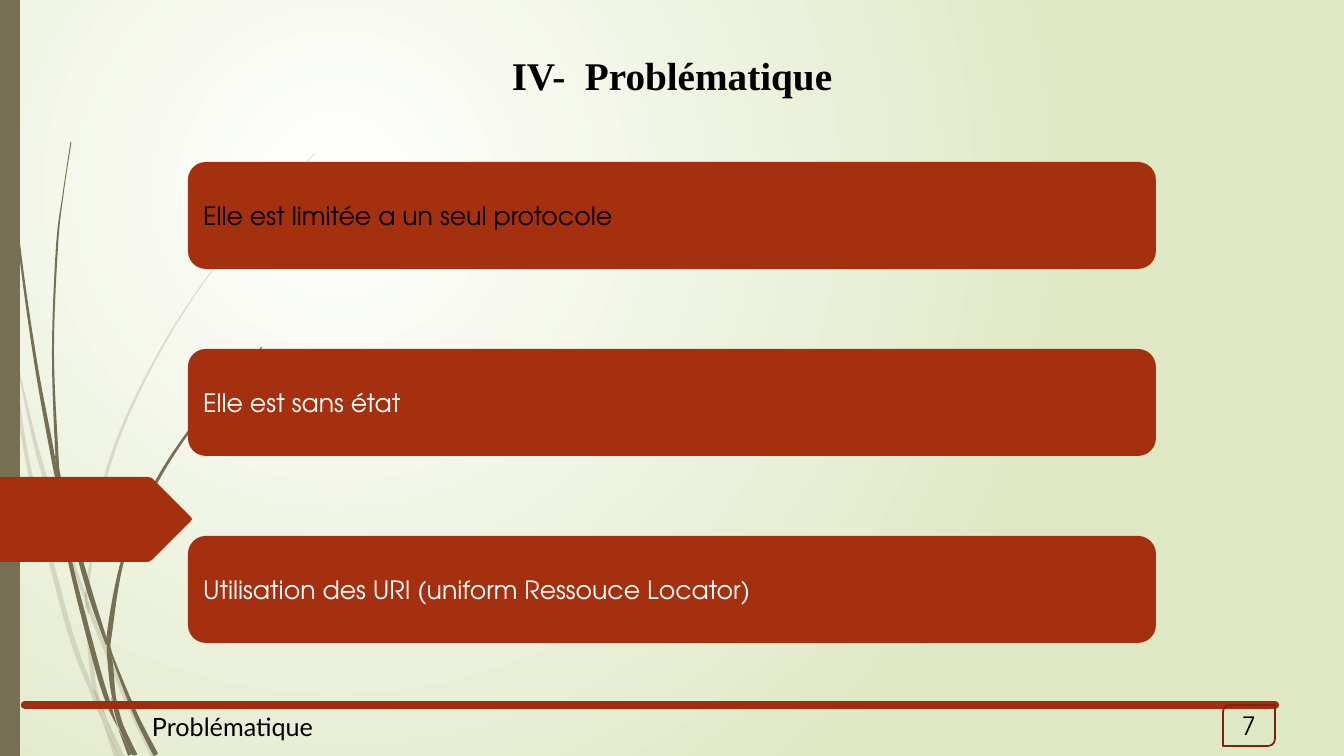
from dataclasses import dataclass
from math import hypot

from pptx import Presentation
from pptx.dml.color import RGBColor
from pptx.enum.shapes import MSO_CONNECTOR, MSO_SHAPE
from pptx.enum.text import MSO_ANCHOR, PP_ALIGN
from pptx.oxml import parse_xml
from pptx.oxml.ns import nsdecls
from pptx.util import Pt

RECTANGLE = MSO_SHAPE.RECTANGLE
ROUNDED = MSO_SHAPE.ROUNDED_RECTANGLE
DIAGONAL = MSO_SHAPE.ROUND_2_DIAG_RECTANGLE
STRAIGHT = MSO_CONNECTOR.STRAIGHT
MIDDLE = MSO_ANCHOR.MIDDLE
CENTER, JUSTIFY = PP_ALIGN.CENTER, PP_ALIGN.JUSTIFY
PX = 914400 / 100.8
TITLE_ONLY = 5


@dataclass(frozen=True)
class Theme:
    """Colours, fonts and type sizes of the slide."""
    white: str = "FFFFFF"
    black: str = "000000"
    pale_green: str = "DFE8C4"
    olive: str = "766F54"
    rust: str = "A53010"
    rule: str = "9E2E0F"
    badge: str = "7A240C"
    title_font: str = "Times New Roman"
    body_font: str = "TeX Gyre Adventor"
    footer_font: str = "Lato"
    title_size: int = 28
    body_size: int = 18


THEME = Theme()

FAINT_GRASS = [
    [(0, 293, 4), (5, 318, 3), (11, 353, 0)],
    [(14, 348, 0), (36, 446, 4), (60, 525, 4), (85, 597, 3)],
    [(88, 602, 2), (91, 613, 4), (126, 699, 4), (154, 757, 5)],
    [(106, 717, 0), (122, 757, 5)],
    [(11, 353, 0), (15, 379, 3), (30, 473, 4), (68, 625, 5), (93, 694, 4), (102, 720, 0)],
    [(85, 604, 0), (90, 651, 4), (95, 689, 4), (106, 717, 0)],
    [(314, 154, 1), (230, 247, 1), (160, 351, 2), (109, 465, 3), (87, 589, 3), (88, 600, 0)],
    [(102, 720, 0), (117, 757, 5)],
    [(86, 591, 0), (87, 603, 4), (89, 615, 0)],
    [(94, 688, 0), (104, 718, 5), (119, 757, 0)],
]
DARK_GRASS = [
    [(4, 0, 1), (8, 110, 1), (18, 234, 2), (35, 358, 3), (53, 457, 4), (57, 485, 0)],
    [(60, 476, 0), (76, 543, 4), (91, 596, 5), (107, 644, 3)],
    [(111, 646, 0), (113, 658, 2), (135, 713, 4), (156, 755, 5)],
    [(57, 481, 0), (63, 509, 3), (70, 561, 4), (96, 663, 5), (109, 705, 4), (118, 728, 0)],
    [(71, 142, 1), (63, 195, 1), (57, 247, 2), (53, 352, 2), (57, 455, 3), (60, 476, 0)],
    [(123, 725, 0), (136, 755, 3)],
    [(55, 453, 0), (59, 478, 4), (65, 509, 0)],
    [(262, 347, 1), (206, 409, 2), (158, 479, 3), (124, 556, 3), (109, 637, 5), (111, 646, 0)],
    [(118, 728, 0), (130, 755, 4)],
    [(107, 650, 0), (110, 661, 5), (114, 697, 4), (123, 725, 0)],
    [(107, 636, 0), (109, 650, 4), (112, 661, 0)],
    [(111, 697, 0), (121, 726, 5), (134, 755, 3)],
]
TAG = [(0, 477), (148, 477), (152, 478), (191, 517), (192, 519), (191, 521),
       (152, 560), (148, 562), (0, 562)]
BARS = [
    ("Elle est limitée a un seul protocole", THEME.black),
    ("Elle est sans état", THEME.white),
    ("Utilisation des URI (uniform Ressouce Locator)", THEME.white),
]


def emu(*lengths):
    """Turn pixel lengths into a list of EMU."""
    return [round(length * PX) for length in lengths]


def rgb(color):
    """Turn a hex string into a colour."""
    return RGBColor.from_string(color)


def write(shape, text, font=THEME.body_font, size=THEME.body_size, color=THEME.black,
          bold=False, align=CENTER):
    """Put one formatted paragraph into a shape."""
    frame = shape.text_frame
    frame.word_wrap = True
    frame.vertical_anchor = MIDDLE
    paragraph = frame.paragraphs[0]
    paragraph.alignment = align
    run = paragraph.add_run()
    run.text = text
    run.font.name, run.font.size, run.font.bold = font, Pt(size), bold
    run.font.color.rgb = rgb(color)


def paint(shape, fill=None, line=None, width=1.25):
    """Set fill and outline, and drop the shadow."""
    shape.shadow.inherit = False
    if fill:
        shape.fill.solid()
        shape.fill.fore_color.rgb = rgb(fill)
    else:
        shape.fill.background()
    if line:
        shape.line.color.rgb = rgb(line)
        shape.line.width = Pt(width)
    else:
        shape.line.fill.background()
    return shape


def add_box(slide, kind, *box, **style):
    """Add a preset shape at a pixel box."""
    return paint(slide.shapes.add_shape(kind, *emu(*box)), **style)


def add_outline(slide, points, fill):
    """Add a closed freeform through pixel points."""
    corners = [tuple(emu(*point)) for point in points]
    builder = slide.shapes.build_freeform(*corners[0])
    builder.add_line_segments(corners[1:], close=True)
    return paint(builder.convert_to_shape(), fill=fill)


def bend(corners):
    """Turn the straight segments along one edge into cubic curves."""
    edge = [(int(corner.get("x")), int(corner.get("y"))) for corner in corners]
    padded = [edge[0], *edge, edge[-1]]
    for corner, a, b, c, d in zip(corners[1:], padded, padded[1:], padded[2:], padded[3:]):
        leave = [q + (r - p) / 6 for p, q, r in zip(a, b, c)]
        arrive = [r - (s - q) / 6 for q, r, s in zip(b, c, d)]
        points = "".join(f'<a:pt x="{round(x)}" y="{round(y)}"/>' for x, y in (leave, arrive, c))
        segment = corner.getparent()
        segment.getparent().replace(segment, parse_xml(
            f'<a:cubicBezTo {nsdecls("a")}>{points}</a:cubicBezTo>'))


def add_blade(slide, knots, alpha=None):
    """Add a blade of grass from knots of x, y and width."""
    left, right = [], []
    for before, (x, y, width), after in zip(knots[:1] + knots, knots, knots[1:] + knots[-1:]):
        dx, dy = after[0] - before[0], after[1] - before[1]
        reach = width / 2 / hypot(dx, dy)
        left.append((x - dy * reach, y + dx * reach))
        right.append((x + dy * reach, y - dx * reach))
    blade = add_outline(slide, left + right[::-1], THEME.olive)
    corners = blade._element.xpath(".//a:pt")
    bend(corners[:len(knots)])
    bend(corners[len(knots):2 * len(knots)])
    if alpha:
        color = blade._element.xpath("./p:spPr/a:solidFill/a:srgbClr")[0]
        color.append(parse_xml(f'<a:alpha {nsdecls("a")} val="{alpha * 1000}"/>'))


def add_rule(slide, *ends, color, width):
    """Add a straight line with round ends."""
    rule = slide.shapes.add_connector(STRAIGHT, *emu(*ends))
    rule.line.color.rgb = rgb(color)
    rule.line.width = Pt(width)
    rule.line._get_or_add_ln().set("cap", "rnd")
    rule._element.spPr.append(parse_xml(f'<a:effectLst {nsdecls("a")}/>'))


def set_background(slide):
    """Fill the background with a circular gradient."""
    fill = slide.background.fill
    fill.gradient()
    for stop, color in zip(fill.gradient_stops, (THEME.white, THEME.pale_green)):
        stop.color.rgb = rgb(color)
    direction = slide._element.xpath("./p:cSld/p:bg//a:lin")[0]
    direction.getparent().replace(direction, parse_xml(
        f'<a:path {nsdecls("a")} path="circle">'
        '<a:fillToRect l="50000" t="50000" r="100000" b="100000"/></a:path>'))


def main():
    """Build the slide and save it."""
    deck = Presentation()
    deck.slide_width, deck.slide_height = emu(1344, 756)
    slide = deck.slides.add_slide(deck.slide_layouts[TITLE_ONLY])
    set_background(slide)
    for knots in FAINT_GRASS:
        add_blade(slide, knots, alpha=20)
    for knots in DARK_GRASS:
        add_blade(slide, knots)
    add_box(slide, RECTANGLE, 0, 0, 20, 756, fill=THEME.olive)
    add_outline(slide, TAG, THEME.rust)

    footer = slide.shapes.add_textbox(*emu(12, 706, 441, 41))
    write(footer, "Problématique", font=THEME.footer_font)
    add_rule(slide, 25, 705, 1275, 705, color=THEME.rule, width=6)
    write(add_box(slide, DIAGONAL, 1223, 705, 52, 41, line=THEME.badge), "7")

    title = slide.shapes.title
    title.left, title.top, title.width, title.height = emu(340, 47, 664, 55)
    write(title, "IV-  Problématique", font=THEME.title_font, size=THEME.title_size, bold=True)
    for row, (statement, color) in enumerate(BARS):
        bar = add_box(slide, ROUNDED, 188, 162 + 187 * row, 968, 107, fill=THEME.rust)
        write(bar, statement, color=color, align=JUSTIFY)
    deck.save("out.pptx")


main()
